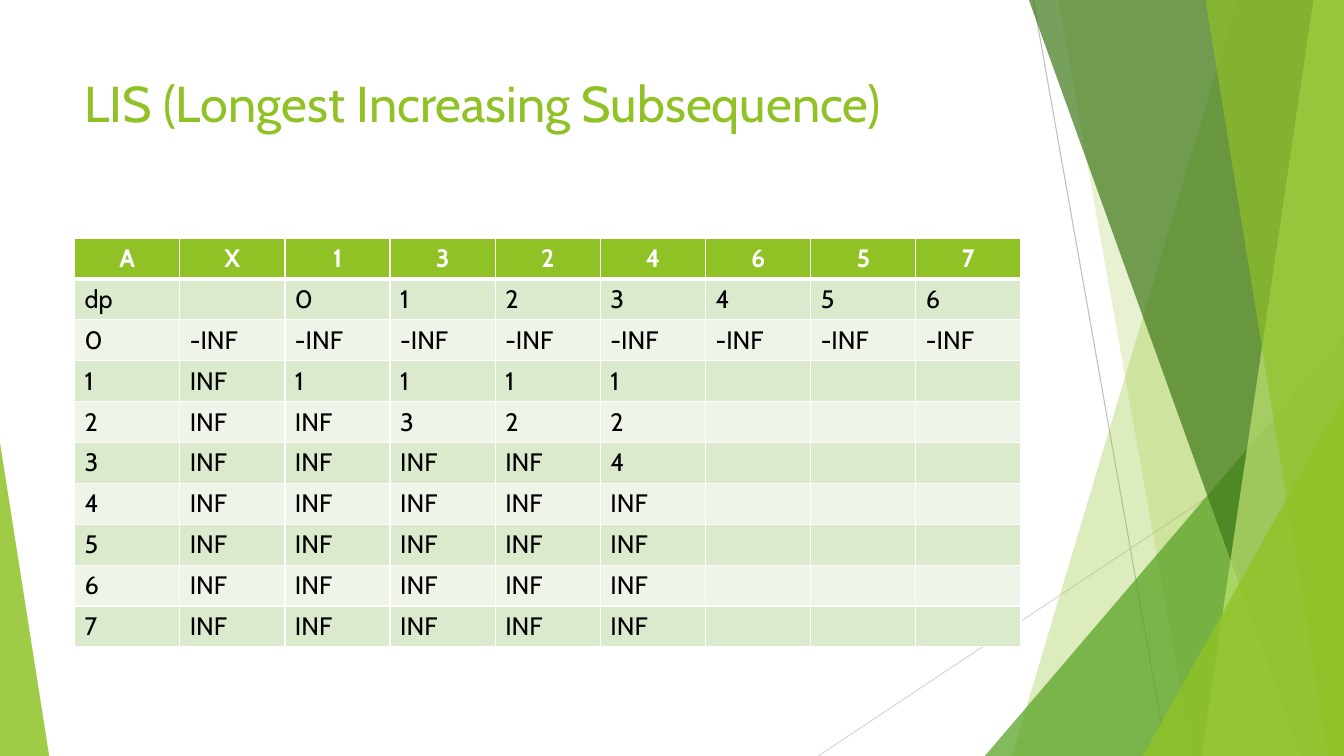
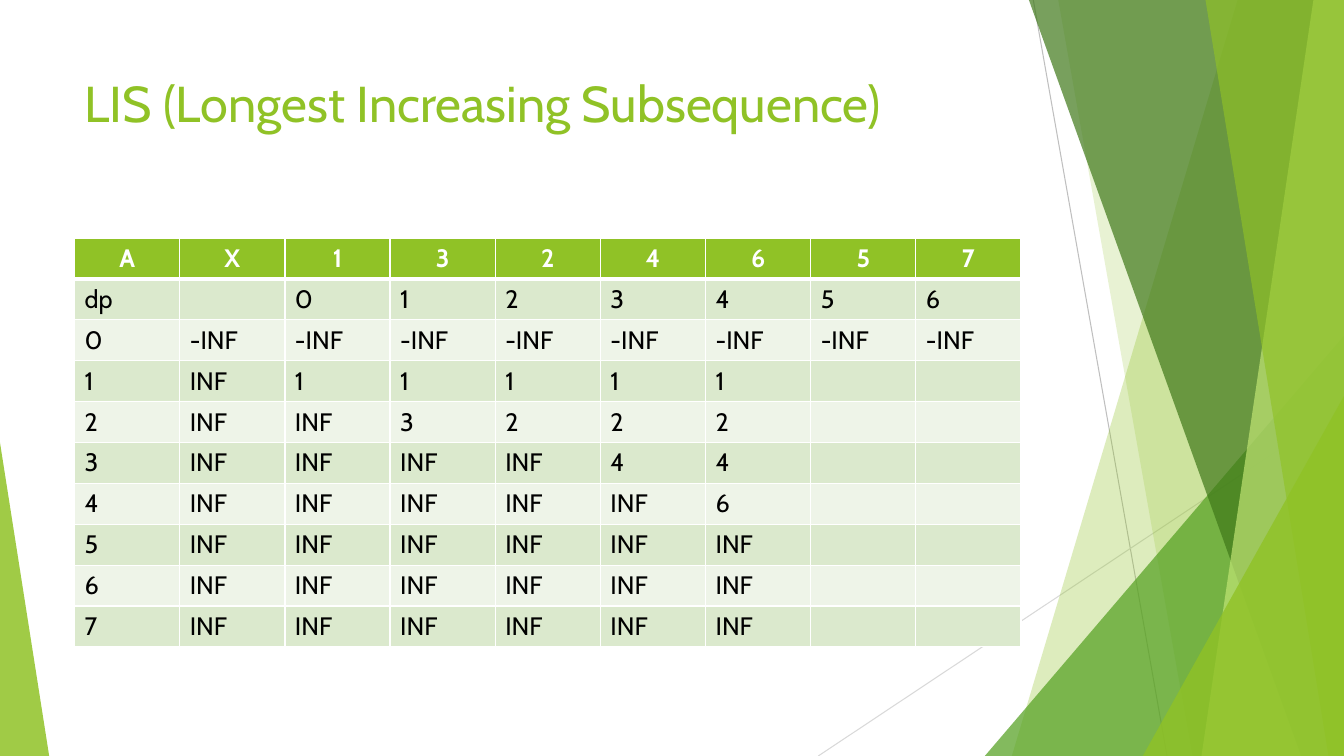
from lxml.etree import SubElement
from pptx import Presentation
from pptx.dml.color import RGBColor
from pptx.enum.shapes import MSO_CONNECTOR as Connector, MSO_SHAPE as Preset
from pptx.enum.text import MSO_ANCHOR as Anchor, MSO_AUTO_SIZE as AutoSize, PP_ALIGN as Align
from pptx.oxml.ns import qn
from pptx.util import Cm, Pt

TITLE = "LIS (Longest Increasing Subsequence)"
SEQUENCE = ["1", "3", "2", "4", "6", "5", "7"]
# Smallest last value of each subsequence length, after each step; step 0 is the start
STEPS = [[], ["1"], ["1", "3"], ["1", "2"], ["1", "2", "4"], ["1", "2", "4", "6"]]
STEPS_SHOWN = [5, 6]

WIDTH, HEIGHT = 33.87, 19.05
FONT = "Cabin"
COLOURS = {
    "lime": "90C226", "green": "54A021", "forest": "3F7819", "pale": "C0E474",
    "white": "FFFFFF", "black": "000000", "odd_row": "DBE9CD", "even_row": "EEF4E8",
    "steep_line": "BFBFBF", "flat_line": "D9D9D9",
}
TITLE_BOX = {"left": Cm(1.88), "top": Cm(1.7), "width": Cm(23.88), "height": Cm(3.66)}
TITLE_FRAME = {"word_wrap": True, "auto_size": AutoSize.NONE, "vertical_anchor": Anchor.TOP}
TABLE_LEFT, TABLE_TOP, COLUMN_WIDTH, ROW_HEIGHT = 1.88, 6.0, 2.65, 1.03

# start x, start y, end x, end y, colour
LINES = [(26.04, 0, 29.41, HEIGHT, "steep_line"), (WIDTH, 10.24, 20.62, HEIGHT, "flat_line")]
# Bands: x at the top, x at the bottom. Triangles: left, top, width, apex (0 left, 1 right)
FACETS = [
    ("band", (31.19, 25.5), "lime", 30),
    ("band", (26.67, 30.05), "lime", 20),
    ("triangle", (24.82, 8.46, 9.05, 1), "green", 72),
    ("band", (25.93, 32.79), "forest", 70),
    ("band", (33.1, 30.28), "pale", 70),
    ("band", (30.38, 33.48), "lime", 65),
    ("triangle", (28.8, 9.98, 5.07, 1), "lime", 80),
    ("triangle", (0, 11.15, 1.24, 0), "lime", 85),
]


def colour(name):
    return RGBColor.from_string(COLOURS[name])


def set_all(target, values):
    for name, value in values.items():
        setattr(target, name, value)


def format_font(font, size, colour_name, bold=False):
    set_all(font, {"name": FONT, "size": Pt(size), "bold": bold})
    font.color.rgb = colour(colour_name)


def add_band(shapes, top_x, bottom_x):
    """Fill from a slanted left edge to the right edge of the slide."""
    builder = shapes.build_freeform(Cm(top_x), 0)
    corners = [(WIDTH, 0), (WIDTH, HEIGHT), (bottom_x, HEIGHT)]
    builder.add_line_segments([(Cm(x), Cm(y)) for x, y in corners], close=True)
    return builder.convert_to_shape()


def add_triangle(shapes, left, top, width, apex):
    triangle = shapes.add_shape(
        Preset.ISOSCELES_TRIANGLE, Cm(left), Cm(top), Cm(width), Cm(HEIGHT - top))
    triangle.adjustments[0] = apex
    return triangle


def add_line(shapes, start_x, start_y, end_x, end_y, colour_name):
    line = shapes.add_connector(
        Connector.STRAIGHT, Cm(start_x), Cm(start_y), Cm(end_x), Cm(end_y))
    line.line.color.rgb = colour(colour_name)
    line.line.width = Pt(0.75)
    SubElement(line.element.spPr, qn("a:effectLst"))
    return line


def add_facet(shapes, kind, geometry, colour_name, opacity):
    shape = {"band": add_band, "triangle": add_triangle}[kind](shapes, *geometry)
    shape.shadow.inherit = False
    shape.fill.solid()
    shape.fill.fore_color.rgb = colour(colour_name)
    shape.line.fill.background()
    fill_colour = shape.element.spPr.find(f"{qn('a:solidFill')}/{qn('a:srgbClr')}")
    SubElement(fill_colour, qn("a:alpha"), val=str(opacity * 1000))
    return shape


def decorate_layout(layout, slide):
    """Draw the backdrop on a slide, then move it to the layout that all slides share."""
    for placeholder in list(layout.placeholders)[1:]:
        layout.shapes.element.remove(placeholder.element)
    backdrop = [add_line(slide.shapes, *line) for line in LINES]
    backdrop += [add_facet(slide.shapes, *facet) for facet in FACETS]
    for shape in backdrop:
        layout.shapes.element.append(shape.element)


def table_rows(step_count):
    size = len(SEQUENCE)
    columns = [["A", "dp"] + [str(length) for length in range(size + 1)]]
    for index, head in enumerate(["X"] + SEQUENCE):
        number = str(index - 1) if index else ""
        if index < step_count:
            values = STEPS[index] + ["INF"] * (size - len(STEPS[index]))
        else:
            values = [""] * size
        columns.append([head, number, "-INF"] + values)
    return list(zip(*columns))


def set_borders(cell, widths):
    properties = cell._tc.get_or_add_tcPr()
    for side, width in widths.items():
        border = SubElement(properties, qn(f"a:ln{side}"), w=str(Pt(width)))
        fill = SubElement(border, qn("a:solidFill"))
        SubElement(fill, qn("a:srgbClr"), val=COLOURS["white"])


def fill_cell(cell, text, row):
    is_head = row == 0
    set_borders(cell, {"L": 1, "R": 1, "T": 3 if row == 1 else 1, "B": 3 if is_head else 1})
    cell.fill.solid()
    cell.fill.fore_color.rgb = colour("lime" if is_head else "odd_row" if row % 2 else "even_row")
    cell.text = text
    paragraph = cell.text_frame.paragraphs[0]
    paragraph.alignment = Align.CENTER if is_head else Align.LEFT
    format_font(paragraph.font, 18, "white" if is_head else "black", is_head)


def add_step_table(slide, rows):
    row_count, column_count = len(rows), len(rows[0])
    table = slide.shapes.add_table(
        row_count, column_count, Cm(TABLE_LEFT), Cm(TABLE_TOP),
        Cm(COLUMN_WIDTH * column_count), Cm(ROW_HEIGHT * row_count)).table
    for column in table.columns:
        column.width = Cm(COLUMN_WIDTH)
    for row, texts in enumerate(rows):
        table.rows[row].height = Cm(ROW_HEIGHT)
        for column, text in enumerate(texts):
            fill_cell(table.cell(row, column), text, row)


def set_title(slide):
    title = slide.shapes.title
    set_all(title, TITLE_BOX)
    set_all(title.text_frame, TITLE_FRAME)
    title.text_frame.text = TITLE
    paragraph = title.text_frame.paragraphs[0]
    paragraph.alignment = Align.LEFT
    format_font(paragraph.font, 36, "lime")


def main():
    presentation = Presentation()
    set_all(presentation, {"slide_width": Cm(WIDTH), "slide_height": Cm(HEIGHT)})
    layout = presentation.slide_layouts[5]
    slides = [presentation.slides.add_slide(layout) for _ in STEPS_SHOWN]
    decorate_layout(layout, slides[0])
    for slide, step_count in zip(slides, STEPS_SHOWN):
        set_title(slide)
        add_step_table(slide, table_rows(step_count))
    presentation.save("out.pptx")


if __name__ == "__main__":
    main()
